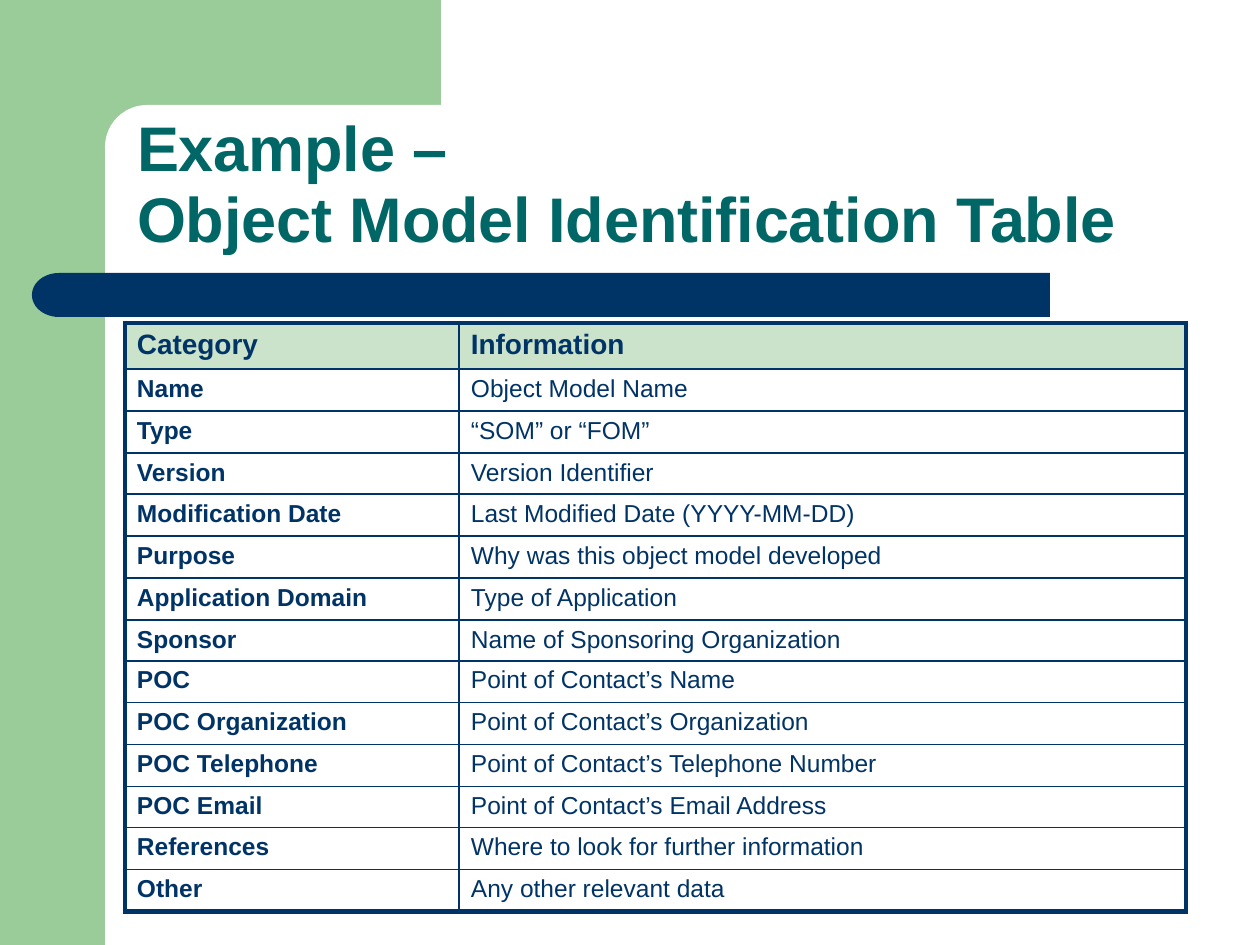
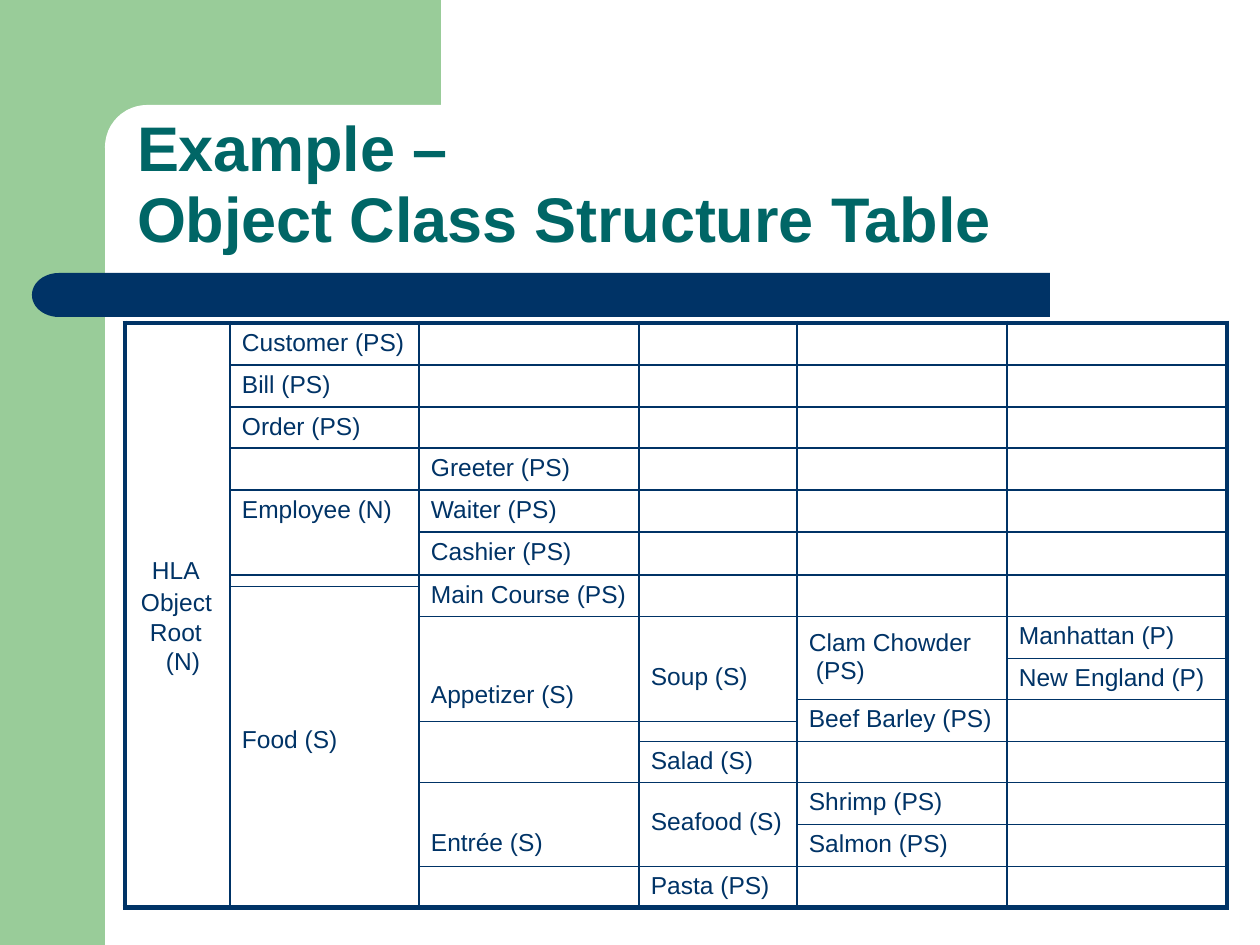
from math import cos, pi, sin

from lxml.etree import SubElement
from pptx import Presentation
from pptx.dml.color import RGBColor
from pptx.enum.shapes import MSO_SHAPE as Shape
from pptx.enum.text import MSO_AUTO_SIZE as AutoSize
from pptx.oxml.ns import qn
from pptx.util import Emu, Pt

PX_PER_INCH = 126
COLORS = {"green": "99CC99", "pale": "CAE3CA", "navy": "003366",
          "teal": "006666", "white": "FFFFFF"}
FONT = "Arial"
NO_STYLE = "{2D5ABB26-0587-4C30-8999-92F81FD0307C}"
OUTER_LINE, INNER_LINE = 3, 1
TEXT_LEFT, TEXT_TOP = 12, 6

IDENTIFICATION = [
    ("Category", "Information"),
    ("Name", "Object Model Name"),
    ("Type", "“SOM” or “FOM”"),
    ("Version", "Version Identifier"),
    ("Modification Date", "Last Modified Date (YYYY-MM-DD)"),
    ("Purpose", "Why was this object model developed"),
    ("Application Domain", "Type of Application"),
    ("Sponsor", "Name of Sponsoring Organization"),
    ("POC", "Point of Contact’s Name"),
    ("POC Organization", "Point of Contact’s Organization"),
    ("POC Telephone", "Point of Contact’s Telephone Number"),
    ("POC Email", "Point of Contact’s Email Address"),
    ("References", "Where to look for further information"),
    ("Other", "Any other relevant data"),
]

# (row, column): label, optionally with its distance from the cell top
CLASSES = {
    (0, 1): ("Customer (PS)",), (1, 1): ("Bill (PS)",),
    (2, 1): ("Order (PS)",), (4, 1): ("Employee (N)",),
    (11, 1): ("Food (S)", 5),
    (3, 2): ("Greeter (PS)",), (4, 2): ("Waiter (PS)",),
    (5, 2): ("Cashier (PS)",), (6, 2): ("Main Course (PS)",),
    (8, 2): ("Appetizer (S)", 65), (13, 2): ("Entrée (S)", 47),
    (8, 3): ("Soup (S)", 47), (12, 3): ("Salad (S)",),
    (13, 3): ("Seafood (S)", 26), (15, 3): ("Pasta (PS)",),
    (8, 4): ("Clam Chowder (PS)", 13), (10, 4): ("Beef Barley (PS)",),
    (13, 4): ("Shrimp (PS)",), (14, 4): ("Salmon (PS)",),
    (8, 5): ("Manhattan (P)",), (9, 5): ("New England (P)",),
}
CLASS_COLUMNS = [105, 189, 220, 158, 210, 220]
CLASS_ROWS = [42, 42, 41, 42, 42, 43, 12, 30, 42, 41, 22, 20, 41, 42, 42, 41]
# first row of a merge: {rows merged: columns}
CLASS_MERGES = {5: {2: [0]}, 6: {2: [2, 3, 4, 5]}, 7: {4: [0, 1]},
                8: {3: [2, 3], 2: [4]}, 10: {2: [4, 5]},
                11: {2: [0, 1, 2]}, 13: {2: [0, 1, 2, 3]}}
# (row, column) whose lower edge has no line
OPEN_EDGES = ({(row, 0) for row in range(len(CLASS_ROWS) - 1)}
              | {(row, 1) for row in (4, 10, 12, 14)})


def px(value):
    return Emu(round(value * 914400 / PX_PER_INCH))


def color(name):
    return RGBColor.from_string(COLORS[name])


def paint(shape, fill):
    shape.shadow.inherit = False
    shape.fill.solid()
    shape.fill.fore_color.rgb = color(fill)
    shape.line.fill.background()


def add_outline(slide, points, fill):
    start, *others = [(px(x), px(y)) for x, y in points]
    builder = slide.shapes.build_freeform(*start)
    builder.add_line_segments(others)
    paint(builder.convert_to_shape(), fill)


def add_frame(slide, width, height):
    """Green corner band, its rounded white cut-out and the navy bar."""
    band, top_width, top_height, radius = 105, 441, 147, 42
    add_outline(slide, [(0, 0), (top_width, 0), (top_width, top_height),
                        (band, top_height), (band, height), (0, height)], "green")
    cutout = slide.shapes.add_shape(Shape.ROUNDED_RECTANGLE, px(band),
                                    px(top_height - radius), px(704), px(2 * radius))
    cutout.adjustments[0] = 0.5
    paint(cutout, "white")

    left, top, right, bottom, cap = 32, 273, 1050, 317, 27
    middle, half = (top + bottom) / 2, (bottom - top) / 2
    steps = 24
    angles = [pi * step / steps for step in range(steps + 1)]
    arc = [(left + cap - cap * sin(angle), middle + half * cos(angle))
           for angle in angles]
    add_outline(slide, [(right, top), (right, bottom)] + arc, "navy")


def style_paragraph(paragraph, size, ink, bold=False):
    for run in paragraph.runs:
        font = run.font
        font.name, font.size, font.bold = FONT, Pt(size), bold
        font.color.rgb = color(ink)


def add_title(slide, subject, left, top, width, height):
    box = slide.shapes.add_textbox(px(left), px(top), px(width), px(height))
    frame = box.text_frame
    frame.word_wrap = True
    frame.auto_size = AutoSize.SHAPE_TO_FIT_TEXT
    frame.margin_left = frame.margin_right = frame.margin_bottom = 0
    frame.margin_top = px(1)
    frame.text = f"Example –\n{subject}"
    for paragraph in frame.paragraphs:
        paragraph.line_spacing = Pt(41)
        style_paragraph(paragraph, 36, "teal", True)
        for run in paragraph.runs:
            run._r.get_or_add_rPr().set("spc", "-5")


def set_borders(cell, widths):
    """Draw the left, right, top and bottom edges; a width of 0 hides one."""
    properties = cell._tc.get_or_add_tcPr()
    for side, width in zip("LRTB", widths):
        line = SubElement(properties, qn(f"a:ln{side}"), w=str(Pt(width)))
        if width:
            fill = SubElement(line, qn("a:solidFill"))
            SubElement(fill, qn("a:srgbClr"), val=COLORS["navy"])
        else:
            SubElement(line, qn("a:noFill"))


def add_grid(slide, left, top, columns, rows, merges=None, open_edges=()):
    """Add an empty table with a heavy outer frame and thin inner lines."""
    graphic = slide.shapes.add_table(len(rows), len(columns), px(left), px(top),
                                     px(sum(columns)), px(sum(rows)))
    table = graphic.table
    table.first_row = table.horz_banding = False
    table._tbl.tblPr.find(qn("a:tableStyleId")).text = NO_STYLE
    for column, width in zip(table.columns, columns):
        column.width = px(width)
    for row, height in zip(table.rows, rows):
        row.height = px(height)
    for first, groups in (merges or {}).items():
        for count, merged in groups.items():
            for column in merged:
                table.cell(first, column).merge(table.cell(first + count - 1, column))

    def edge(outer, hidden=False):
        return OUTER_LINE if outer else 0 if hidden else INNER_LINE

    for row in range(len(rows)):
        for column in range(len(columns)):
            cell = table.cell(row, column)
            cell.margin_left = cell.margin_right = 0
            cell.margin_top = cell.margin_bottom = 0
            if not cell.is_spanned:
                last = row + (cell.span_height if cell.is_merge_origin else 1) - 1
                set_borders(cell, [
                    edge(column == 0),
                    edge(column == len(columns) - 1),
                    edge(row == 0, (row - 1, column) in open_edges),
                    edge(last == len(rows) - 1, (last, column) in open_edges)])
            cell.fill.background()
            # keeps empty cells from stretching the narrow rows
            SubElement(cell.text_frame.paragraphs[0]._p, qn("a:endParaRPr"), sz="400")
    return table


def write_cell(cell, text, top=TEXT_TOP, left=TEXT_LEFT, size=14, bold=False):
    cell.margin_left, cell.margin_top = px(left), px(top)
    cell.text_frame.text = text
    for paragraph in cell.text_frame.paragraphs:
        style_paragraph(paragraph, size, "navy", bold)


def hang(paragraph, left, first):
    properties = paragraph._p.get_or_add_pPr()
    properties.set("marL", str(px(left)))
    properties.set("indent", str(px(first - left)))


def split_evenly(total, count):
    stops = [round(total * step / count) for step in range(count + 1)]
    return [end - start for start, end in zip(stops, stops[1:])]


def add_identification_table(slide, left, top):
    rows = [46] + split_evenly(543, len(IDENTIFICATION) - 1)
    table = add_grid(slide, left, top, [334, 727], rows)
    for row, texts in enumerate(IDENTIFICATION):
        header = row == 0
        for column, text in enumerate(texts):
            cell = table.cell(row, column)
            write_cell(cell, text, size=16 if header else 14,
                       bold=header or column == 0)
            if header:
                cell.fill.solid()
                cell.fill.fore_color.rgb = color("pale")


def add_class_table(slide, left, top):
    table = add_grid(slide, left, top, CLASS_COLUMNS, CLASS_ROWS,
                     CLASS_MERGES, OPEN_EDGES)
    for (row, column), label in CLASSES.items():
        write_cell(table.cell(row, column), *label)
    hang(table.cell(8, 4).text_frame.paragraphs[0], 7, 0)

    write_cell(table.cell(5, 0), "HLA", top=25, left=27)
    root = table.cell(7, 0)
    write_cell(root, "Object\nRoot (N)", top=0, left=16)
    for paragraph in root.text_frame.paragraphs:
        paragraph.line_spacing = Pt(17)
    hang(root.text_frame.paragraphs[1], 25, 9)


def main():
    width, height = 1260, 945
    presentation = Presentation()
    presentation.slide_width, presentation.slide_height = px(width), px(height)
    blank = presentation.slide_layouts[6]
    pages = [("Object Model Identification Table", 990, add_identification_table),
             ("Object Class Structure Table", 864, add_class_table)]
    for subject, title_width, add_table in pages:
        slide = presentation.slides.add_slide(blank)
        add_frame(slide, width, height)
        add_title(slide, subject, 137, 111, title_width, 147)
        add_table(slide, 125, 323)
    presentation.save("out.pptx")


if __name__ == "__main__":
    main()
